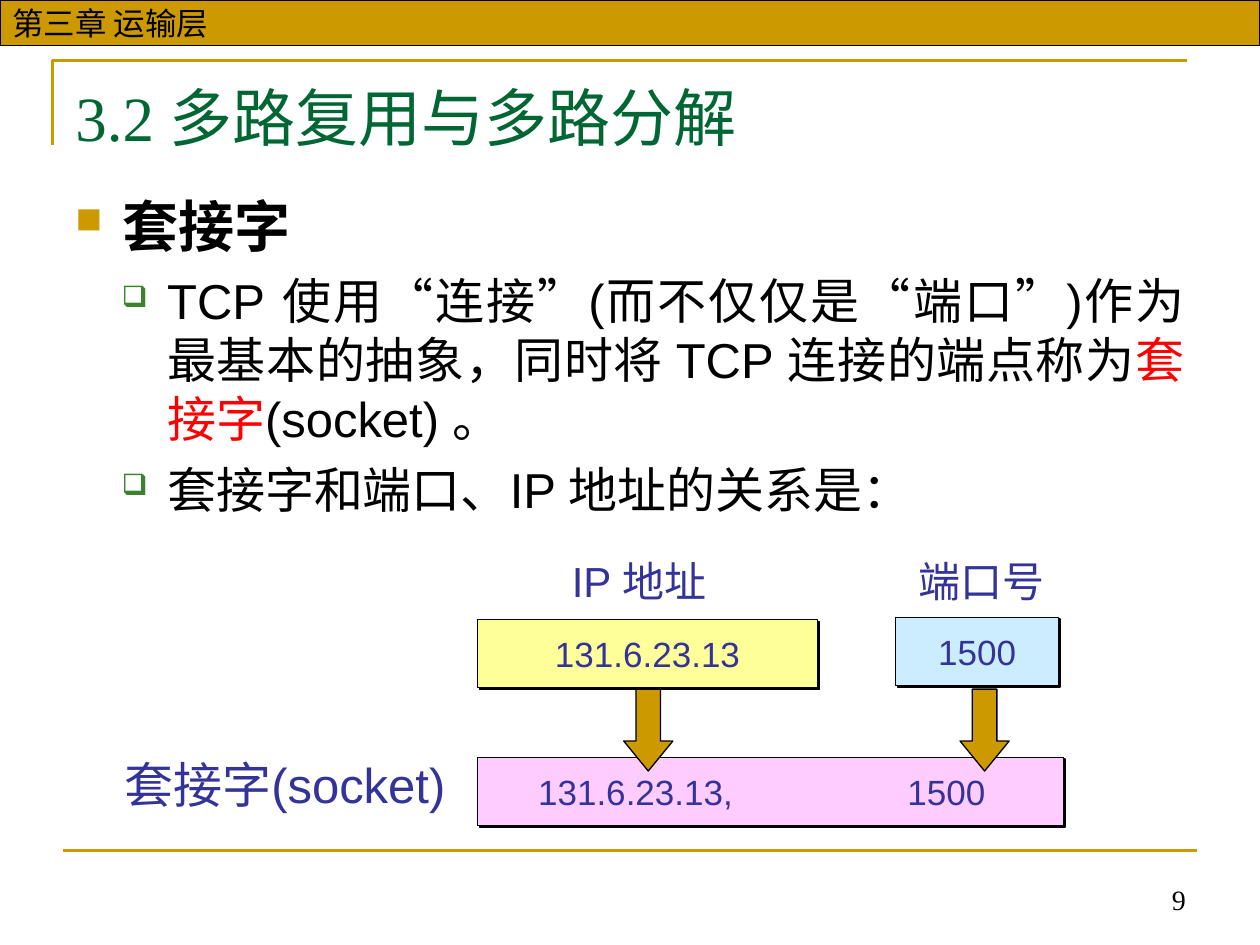
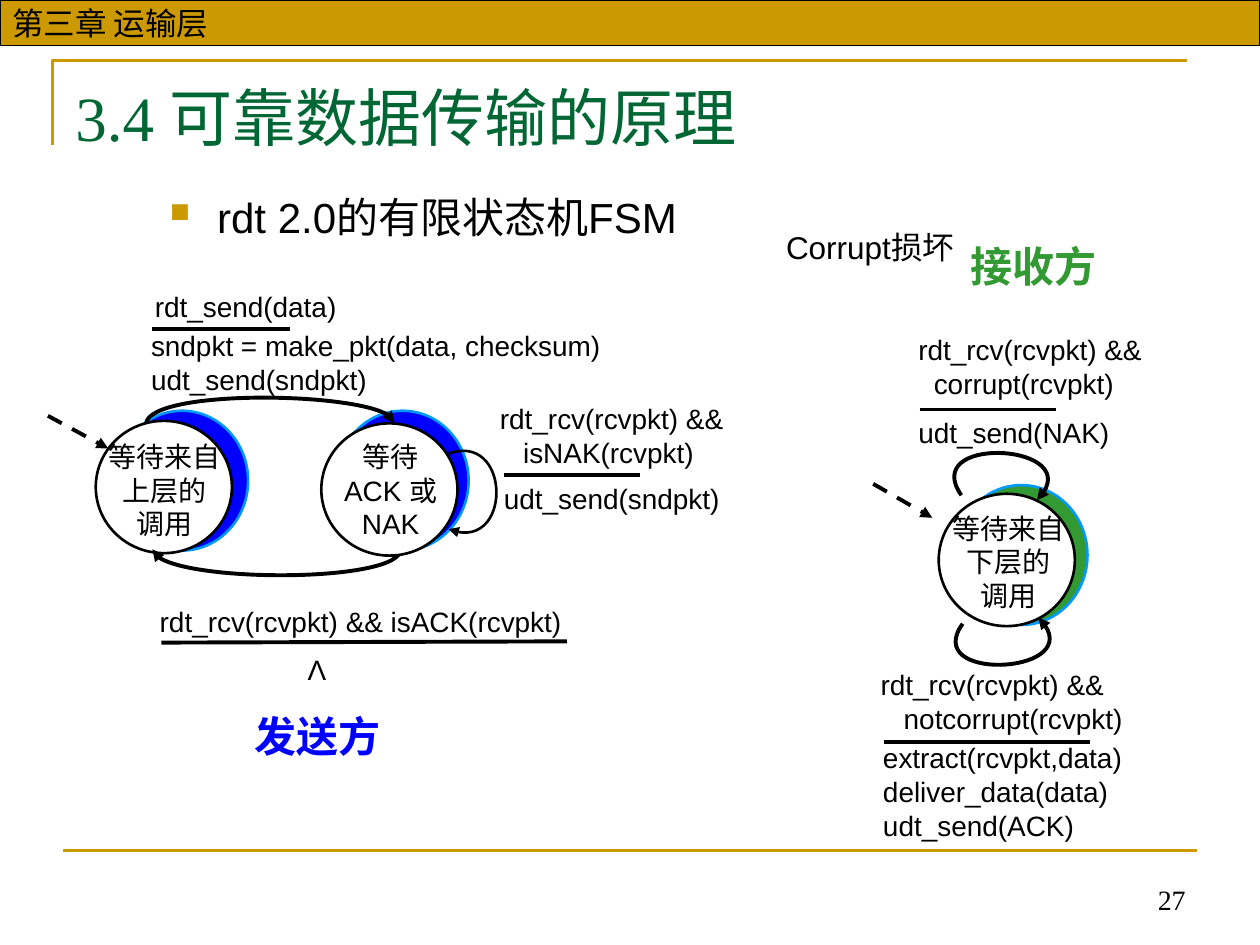
from lxml.etree import SubElement
from pptx import Presentation
from pptx.dml.color import RGBColor
from pptx.enum.dml import MSO_LINE
from pptx.enum.lang import MSO_LANGUAGE_ID
from pptx.enum.shapes import MSO_CONNECTOR, MSO_SHAPE
from pptx.enum.text import MSO_ANCHOR, MSO_AUTO_SIZE, PP_ALIGN
from pptx.oxml.ns import qn
from pptx.util import Pt

GOLD = RGBColor(0xCC, 0x99, 0x00)
TITLE_GREEN = RGBColor(0x00, 0x66, 0x33)
BULLET_GREEN = RGBColor(0x3B, 0x81, 0x2F)
BLACK = RGBColor(0x00, 0x00, 0x00)
WHITE = RGBColor(0xFF, 0xFF, 0xFF)
RED = RGBColor(0xFF, 0x00, 0x00)
INDIGO = RGBColor(0x33, 0x33, 0x99)
YELLOW = RGBColor(0xFF, 0xFF, 0x99)
PALE_BLUE = RGBColor(0xCC, 0xEC, 0xFF)
PINK = RGBColor(0xFF, 0xCC, 0xFF)
SENDER_BLUE = RGBColor(0x00, 0x00, 0xFF)
RECEIVER_GREEN = RGBColor(0x33, 0x99, 0x33)
RIM_BLUE = RGBColor(0x00, 0x99, 0xFF)

BODY_FONT = "Arial"
TITLE_FONT = "Times New Roman"
CHAPTER = "第三章 运输层"

# Bullet levels: character, colour, size %, left margin, hanging indent, space before
TOPIC = ("■", GOLD, 65, 27, 27, 8)
DETAIL = ("❑", BULLET_GREEN, 60, 52.5, 26, 7)
SUBTOPIC = ("■", GOLD, 65, 81, 27, 6)


def points(values):
    return [Pt(value) for value in values]


def add_span(para, text, **formats):
    span = para.add_run()
    span.text = text
    settings = {"name": BODY_FONT, "size": 16, "bold": False, "color": BLACK, **formats}
    span.font.color.rgb = settings.pop("color")
    settings["size"] = Pt(settings["size"])
    settings["language_id"] = MSO_LANGUAGE_ID.SIMPLIFIED_CHINESE
    for name, value in settings.items():
        setattr(span.font, name, value)


def write_lines(frame, text, align=PP_ALIGN.LEFT, **formats):
    """Write one paragraph for each line of the text."""
    for index, line in enumerate(text.split("\n")):
        para = frame.add_paragraph() if index else frame.paragraphs[0]
        para.alignment = align
        add_span(para, line, **formats)


def add_label(page, place, text, anchor=MSO_ANCHOR.TOP, grow=False, **formats):
    box = page.shapes.add_textbox(*points(place))
    frame = box.text_frame
    frame.word_wrap = not grow
    frame.auto_size = MSO_AUTO_SIZE.SHAPE_TO_FIT_TEXT if grow else MSO_AUTO_SIZE.NONE
    frame.vertical_anchor = anchor
    write_lines(frame, text, **formats)
    return box


def set_bullet(para, level):
    character, color, percent, margin, hanging, space = level
    properties = para._p.get_or_add_pPr()
    properties.set("marL", str(Pt(margin)))
    properties.set("indent", str(-Pt(hanging)))
    bullet_color = SubElement(properties, qn("a:buClr"))
    SubElement(bullet_color, qn("a:srgbClr"), val=str(color))
    SubElement(properties, qn("a:buSzPct"), val=str(percent * 1000))
    SubElement(properties, qn("a:buChar"), char=character)
    return space


def add_bullets(page, height, items):
    """Add the body; each item is a level, an alignment and its spans."""
    box = page.shapes.add_textbox(*points((36, 105.8, 648, height)))
    frame = box.text_frame
    frame.word_wrap = True
    for index, (level, align, spans) in enumerate(items):
        para = frame.add_paragraph() if index else frame.paragraphs[0]
        space = set_bullet(para, level)
        para.alignment = align
        if index:
            para.space_before = Pt(space)
        for text, formats in spans:
            add_span(para, text, **formats)


def style_line(shape, color, width, dashed=False, arrow=False):
    shape.line.color.rgb = color
    shape.line.width = Pt(width)
    if dashed:
        shape.line.dash_style = MSO_LINE.DASH
    if arrow:
        SubElement(shape.line._get_or_add_ln(), qn("a:tailEnd"), type="triangle")


def add_figure(page, kind, place, fill, line=BLACK, width=0.75):
    shape = page.shapes.add_shape(kind, *points(place))
    shape.shadow.inherit = False
    shape.fill.solid()
    shape.fill.fore_color.rgb = fill
    style_line(shape, line, width)
    return shape


def add_line(page, ends, color=BLACK, width=2.25, **options):
    line = page.shapes.add_connector(MSO_CONNECTOR.STRAIGHT, *points(ends))
    style_line(line, color, width, **options)
    SubElement(line._element.spPr, qn("a:effectLst"))


def add_outline(page, corners, color, width, arrow=False):
    start, *others = [points(corner) for corner in corners]
    builder = page.shapes.build_freeform(*start, scale=1.0)
    builder.add_line_segments(others, close=False)
    outline = builder.convert_to_shape()
    outline.shadow.inherit = False
    outline.fill.background()
    style_line(outline, color, width, arrow=arrow)
    return outline


def add_curve(page, knots, width=2.25):
    """Draw one cubic curve (start, two controls, end) with an arrowhead at its end."""
    outline = add_outline(page, knots, BLACK, width, arrow=True)
    track = outline._element.find(".//" + qn("a:path"))
    segments = track.findall(qn("a:lnTo"))
    curve = SubElement(track, qn("a:cubicBezTo"))
    for segment in segments:
        curve.append(segment[0])
        track.remove(segment)


def add_page(deck, title, number):
    page = deck.slides.add_slide(deck.slide_layouts[6])
    add_outline(page, [(30.2, 82.8), (30.2, 34.6), (678.2, 34.6)], GOLD, 1.5)
    add_line(page, (36, 486, 684, 486), GOLD, 1.5)
    band = add_figure(page, MSO_SHAPE.RECTANGLE, (0, 0, 720, 25.9), GOLD)
    band.text_frame.vertical_anchor = MSO_ANCHOR.MIDDLE
    write_lines(band.text_frame, CHAPTER, size=18)
    add_label(page, (456.5, 491, 228.2, 36), str(number), MSO_ANCHOR.BOTTOM,
              align=PP_ALIGN.RIGHT, name=TITLE_FONT)
    add_label(page, (36, 38.9, 648, 55.4), title, MSO_ANCHOR.MIDDLE,
              name=TITLE_FONT, size=36, color=TITLE_GREEN)
    return page


def add_address_box(page, place, fill, text, align=PP_ALIGN.CENTER):
    """Add a box with a hard shadow at its lower right."""
    box = add_figure(page, MSO_SHAPE.RECTANGLE, place, fill)
    effects = box._element.spPr.find(qn("a:effectLst"))
    shadow = SubElement(effects, qn("a:outerShdw"), dist=str(Pt(1.4)),
                        dir="2700000", algn="ctr", rotWithShape="0")
    SubElement(shadow, qn("a:srgbClr"), val=str(BLACK))
    box.text_frame.vertical_anchor = MSO_ANCHOR.MIDDLE
    write_lines(box.text_frame, text, align, size=20, color=INDIGO)
    return box


def add_socket_box(page):
    box = add_address_box(page, (272.9, 432.7, 334.8, 38.9), PINK,
                          "131.6.23.13,\t1500", PP_ALIGN.LEFT)
    box.text_frame.margin_left = Pt(34.6)
    tabs = SubElement(box.text_frame.paragraphs[0]._p.get_or_add_pPr(), qn("a:tabLst"))
    SubElement(tabs, qn("a:tab"), pos=str(Pt(211)), algn="l")


def add_state(page, circle, label, text):
    add_figure(page, MSO_SHAPE.OVAL, (*circle, 77.8, 75.6), WHITE, width=1.5)
    add_label(page, label, text, align=PP_ALIGN.CENTER)


def build_socket_page(deck):
    page = add_page(deck, "3.2 多路复用与多路分解", 9)
    detail = {"size": 28}
    add_bullets(page, 209.5, [
        (TOPIC, PP_ALIGN.LEFT, [("套接字", {"size": 32, "bold": True})]),
        (DETAIL, PP_ALIGN.JUSTIFY, [
            ("TCP 使用“连接”(而不仅仅是“端口”)作为最基本的抽象，同时将 TCP 连接的端点称为", detail),
            ("套接字", {"size": 28, "color": RED}),
            ("(socket) 。", detail)]),
        (DETAIL, PP_ALIGN.JUSTIFY, [("套接字和端口、IP 地址的关系是：", detail)]),
    ])
    add_label(page, (319.7, 313.9, 97.2, 36), "IP 地址", grow=True, size=24, color=INDIGO)
    add_label(page, (517.7, 313.9, 103, 36), "端口号", size=24, color=INDIGO)
    add_address_box(page, (272.9, 354.2, 194.4, 38.9), YELLOW, "131.6.23.13")
    add_address_box(page, (511.9, 352.8, 92.9, 38.9), PALE_BLUE, "1500")
    add_socket_box(page)
    add_label(page, (64.1, 427.7, 227.5, 41), "套接字(socket)", size=28, color=INDIGO)
    for left in (356.4, 548.6):
        arrow = add_figure(page, MSO_SHAPE.DOWN_ARROW, (left, 393.8, 28.1, 46.8), GOLD)
        arrow.adjustments[1] = 0.61


def build_state_machine_page(deck):
    page = add_page(deck, "3.4 可靠数据传输的原理", 27)
    add_bullets(page, 39.6, [
        (SUBTOPIC, PP_ALIGN.LEFT, [("rdt 2.0的有限状态机FSM", {"size": 24})])])

    for left, top, color in ((545.8, 277.2, RECEIVER_GREEN),
                             (192.2, 234.7, SENDER_BLUE),
                             (66.2, 234.7, SENDER_BLUE)):
        add_figure(page, MSO_SHAPE.OVAL, (left, top, 75.6, 79.9), color, RIM_BLUE, 1.5)

    add_state(page, (54.7, 240.5), (46.8, 247.7, 94.3, 48.2), "等待来自\n上层的\n调用")
    add_curve(page, [(83.5, 241.9), (86.4, 222.5), (225.4, 223.9), (225.4, 241.9)])
    add_curve(page, [(229, 313.9), (229, 332.6), (90, 333.4), (87.1, 313.9)])
    add_curve(page, [(256.3, 259.2), (290.9, 247), (293, 316.8), (256.3, 302.4)], 1.5)
    add_state(page, (183.6, 241.9), (180.7, 247.7, 85, 48.2), "等待\nACK 或 NAK")
    add_curve(page, [(549.4, 283), (525.6, 249.1), (624.2, 253.4), (592.6, 285.8)])
    add_state(page, (536.4, 282.2), (529.2, 288.7, 94.3, 48.2), "等待来自\n下层的\n调用")
    add_curve(page, [(550.1, 356.4), (526.3, 389.5), (625.7, 385.2), (593.3, 352.8)])

    for start_arrow in ((499, 276.5, 532.8, 295.9), (27.4, 237.6, 61.9, 256.3)):
        add_line(page, start_arrow, dashed=True, arrow=True)
    for rule in ((87.1, 187.9, 165.6, 187.9), (505.4, 424.1, 622.8, 424.1),
                 (92.2, 367.2, 324, 366.5), (288, 271.4, 365.8, 271.4),
                 (525.6, 234, 603.4, 234)):
        add_line(page, rule)

    for place, text in (
        ((81.4, 162, 177.8, 33.8), "rdt_send(data)"),
        ((79.2, 184.3, 286.6, 31.7),
         "sndpkt = make_pkt(data, checksum)\nudt_send(sndpkt)"),
        ((278.6, 226.1, 164.2, 49.7), "rdt_rcv(rcvpkt) &&\n   isNAK(rcvpkt)"),
        ((280.8, 271.4, 139, 31.7), "udt_send(sndpkt)"),
        ((84.2, 342, 279.4, 22.3), "rdt_rcv(rcvpkt) && isACK(rcvpkt)"),
        ((517.7, 186.5, 151.2, 24.5), "rdt_rcv(rcvpkt) &&\n  corrupt(rcvpkt)"),
        ((517.7, 234, 144, 20.2), "udt_send(NAK)"),
        ((496.1, 378, 169.9, 55.4), "rdt_rcv(rcvpkt) &&\n   notcorrupt(rcvpkt)"),
        ((497.5, 419.8, 168.5, 49),
         "extract(rcvpkt,data)\ndeliver_data(data)\nudt_send(ACK)"),
    ):
        add_label(page, place, text)

    add_label(page, (168.5, 369.4, 25.2, 26.6), "Λ", grow=True, align=PP_ALIGN.CENTER)
    add_label(page, (442.1, 126.7, 117.4, 28.8), "Corrupt损坏", size=18)
    for left, top, role, color in ((138.2, 402.5, "发送方", SENDER_BLUE),
                                   (547.2, 133.9, "接收方", RECEIVER_GREEN)):
        add_label(page, (left, top, 86.4, 36), role, grow=True, align=PP_ALIGN.CENTER,
                  size=24, bold=True, color=color)


def main():
    deck = Presentation()
    deck.slide_width, deck.slide_height = Pt(720), Pt(540)
    build_socket_page(deck)
    build_state_machine_page(deck)
    deck.save("out.pptx")


if __name__ == "__main__":
    main()
